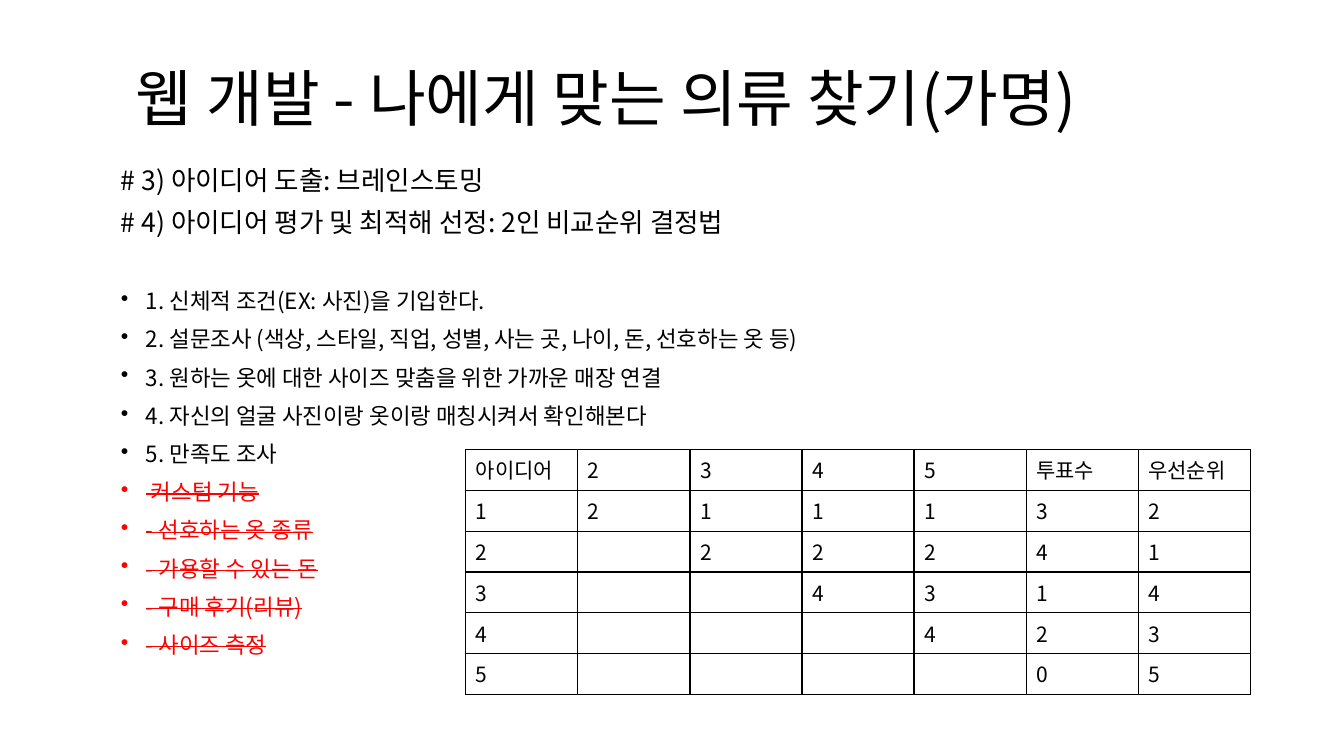
from dataclasses import dataclass

from pptx import Presentation
from pptx import util as u
from pptx.dml.color import RGBColor
from pptx.enum import text
from pptx.oxml import parse_xml
from pptx.oxml.ns import nsdecls, qn

TITLE = "웹 개발 - 나에게 맞는 의류 찾기(가명)"
STEPS = [
    "# 3) 아이디어 도출: 브레인스토밍",
    "# 4) 아이디어 평가 및 최적해 선정: 2인 비교순위 결정법",
]
IDEAS = [
    "1. 신체적 조건(EX: 사진)을 기입한다.",
    "2. 설문조사 (색상, 스타일, 직업, 성별, 사는 곳, 나이, 돈, 선호하는 옷 등)",
    "3. 원하는 옷에 대한 사이즈 맞춤을 위한 가까운 매장 연결",
    "4. 자신의 얼굴 사진이랑 옷이랑 매칭시켜서 확인해본다",
    "5. 만족도 조사",
]
DROPPED_IDEAS = [
    " 커스텀 기능",
    "- 선호하는 옷 종류",
    "- 가용할 수 있는 돈",
    "- 구매 후기(리뷰)",
    "- 사이즈 측정",
]
VOTES = [
    ["아이디어", "2", "3", "4", "5", "투표수", "우선순위"],
    ["1", "2", "1", "1", "1", "3", "2"],
    ["2", "", "2", "2", "2", "4", "1"],
    ["3", "", "", "4", "3", "1", "4"],
    ["4", "", "", "", "4", "2", "3"],
    ["5", "", "", "", "", "0", "5"],
]

SLIDE_SIZE = (13.33, 7.5)
TITLE_BOX = (1.25, 0.61, 10.59, 0.8)
BODY_BOX = (1.1, 1.61, 10.67, 3.52)
TABLE_BOX = (4.62, 4.46, 7.78, 2.43)


@dataclass(frozen=True)
class Theme:
    font: str = "Noto Sans CJK KR"
    ink: str = "000000"
    dropped: str = "FF0000"
    title: int = 44
    step: int = 19
    idea: int = 16
    cell: int = 15
    gap: int = 10
    section_gap: int = 37
    line_spacing: float = 0.9
    indent: float = 0.25


THEME = Theme()


def inches(values):
    return [u.Inches(value) for value in values]


def style(paragraph, size, color=THEME.ink, struck=False):
    """Set the paragraph's font for Latin and Korean letters alike."""
    font = paragraph.font
    font.name, font.size = THEME.font, u.Pt(size)
    font.color.rgb = RGBColor.from_string(color)
    properties = paragraph._p.pPr.find(qn("a:defRPr"))
    properties.find(qn("a:latin")).addnext(
        parse_xml(f'<a:ea {nsdecls("a")} typeface="{THEME.font}"/>'))
    if struck:
        properties.set("strike", "sngStrike")


def add_bullet(paragraph):
    properties = paragraph._p.get_or_add_pPr()
    properties.set("marL", str(u.Inches(THEME.indent)))
    properties.set("indent", str(-u.Inches(THEME.indent)))
    properties.find(qn("a:defRPr")).addprevious(
        parse_xml(f'<a:buChar {nsdecls("a")} char="•"/>'))


def add_text_frame(slide, box):
    frame = slide.shapes.add_textbox(*inches(box)).text_frame
    frame.word_wrap = True
    return frame


def add_title(slide):
    frame = add_text_frame(slide, TITLE_BOX)
    frame.vertical_anchor = text.MSO_ANCHOR.MIDDLE
    paragraph = frame.paragraphs[0]
    paragraph.text = TITLE
    paragraph.line_spacing = THEME.line_spacing
    style(paragraph, THEME.title)


def add_body(slide):
    frame = add_text_frame(slide, BODY_BOX)
    lines = STEPS + IDEAS + DROPPED_IDEAS
    for index, line in enumerate(lines):
        paragraph = frame.add_paragraph() if index else frame.paragraphs[0]
        paragraph.text = line
        paragraph.line_spacing = THEME.line_spacing
        starts_ideas = index == len(STEPS)
        paragraph.space_before = u.Pt(THEME.section_gap if starts_ideas else THEME.gap)
        if index < len(STEPS):
            style(paragraph, THEME.step)
            continue
        dropped = line in DROPPED_IDEAS
        style(paragraph, THEME.idea, THEME.dropped if dropped else THEME.ink, dropped)
        add_bullet(paragraph)


def add_borders(cell):
    properties = cell._tc.get_or_add_tcPr()
    for index, side in enumerate(("lnL", "lnR", "lnT", "lnB")):
        properties.insert(index, parse_xml(
            f'<a:{side} {nsdecls("a")} w="{u.Pt(1)}"><a:solidFill>'
            f'<a:srgbClr val="{THEME.ink}"/></a:solidFill></a:{side}>'))


def add_votes(slide):
    rows, columns = len(VOTES), len(VOTES[0])
    table = slide.shapes.add_table(rows, columns, *inches(TABLE_BOX)).table
    table.first_row = table.horz_banding = False
    for row, values in enumerate(VOTES):
        for column, value in enumerate(values):
            cell = table.cell(row, column)
            cell.fill.background()
            add_borders(cell)
            paragraph = cell.text_frame.paragraphs[0]
            paragraph.text = value
            style(paragraph, THEME.cell)


def main():
    presentation = Presentation()
    presentation.slide_width, presentation.slide_height = inches(SLIDE_SIZE)
    slide = presentation.slides.add_slide(presentation.slide_layouts[6])
    add_body(slide)
    add_votes(slide)
    add_title(slide)
    presentation.save("out.pptx")


if __name__ == "__main__":
    main()
